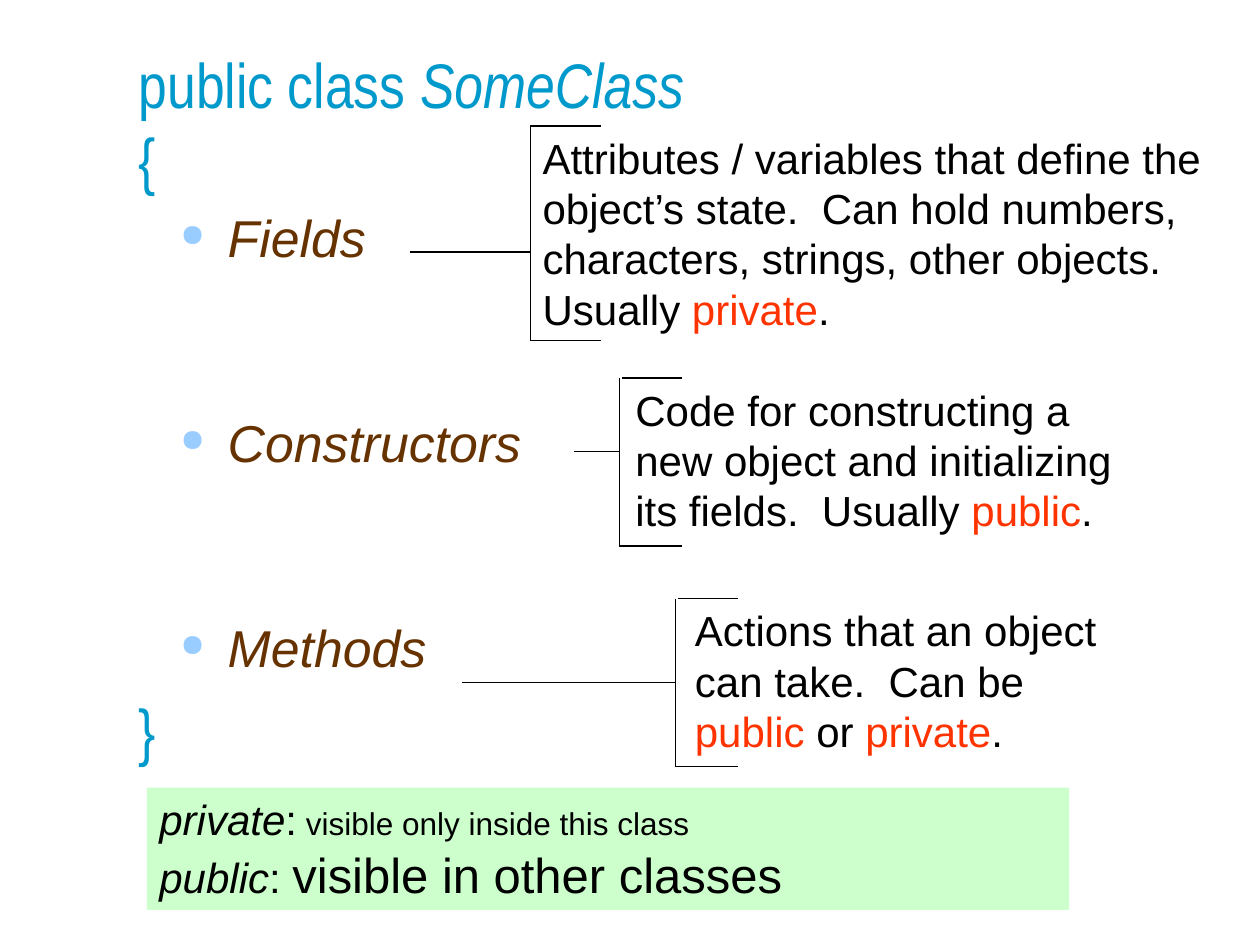
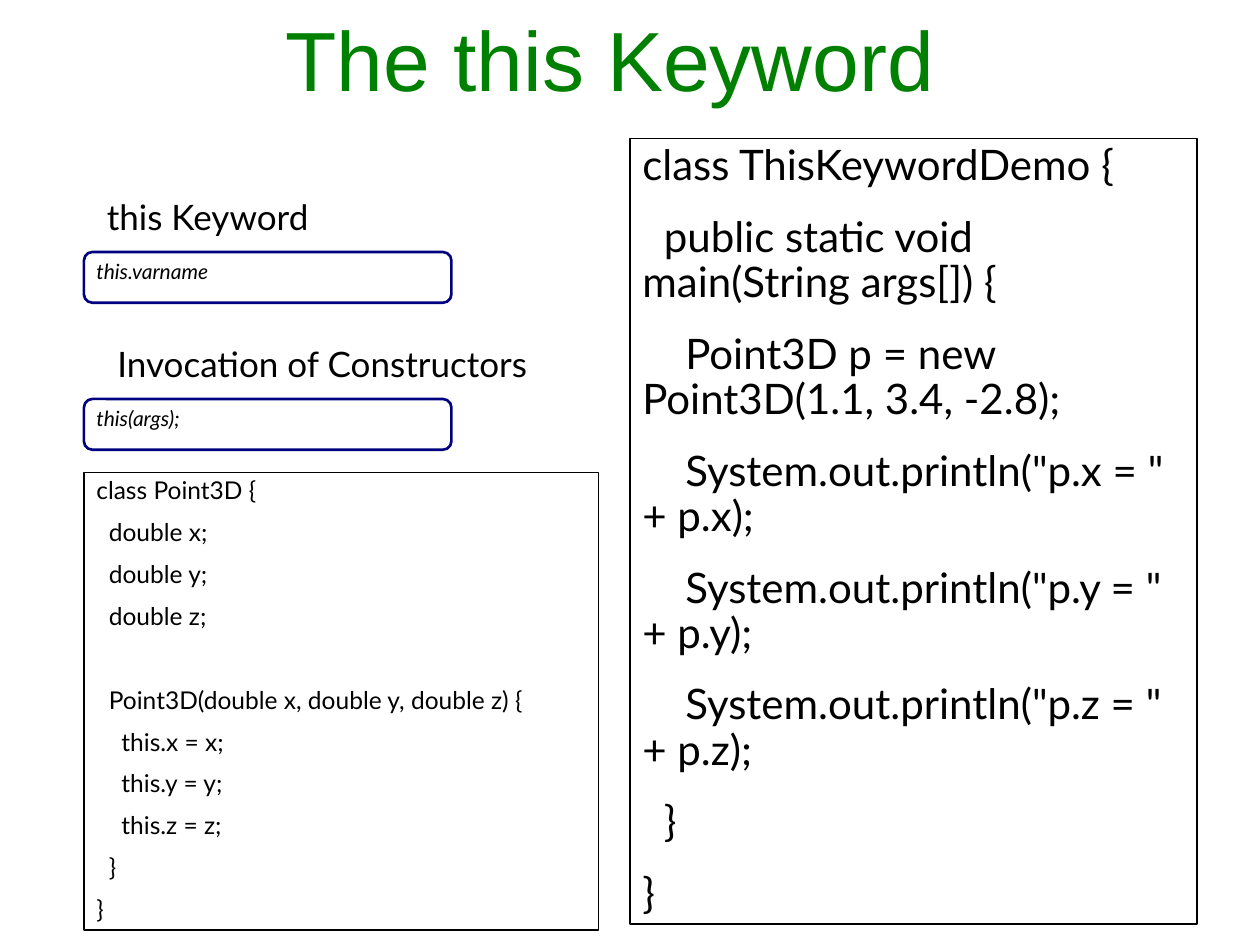
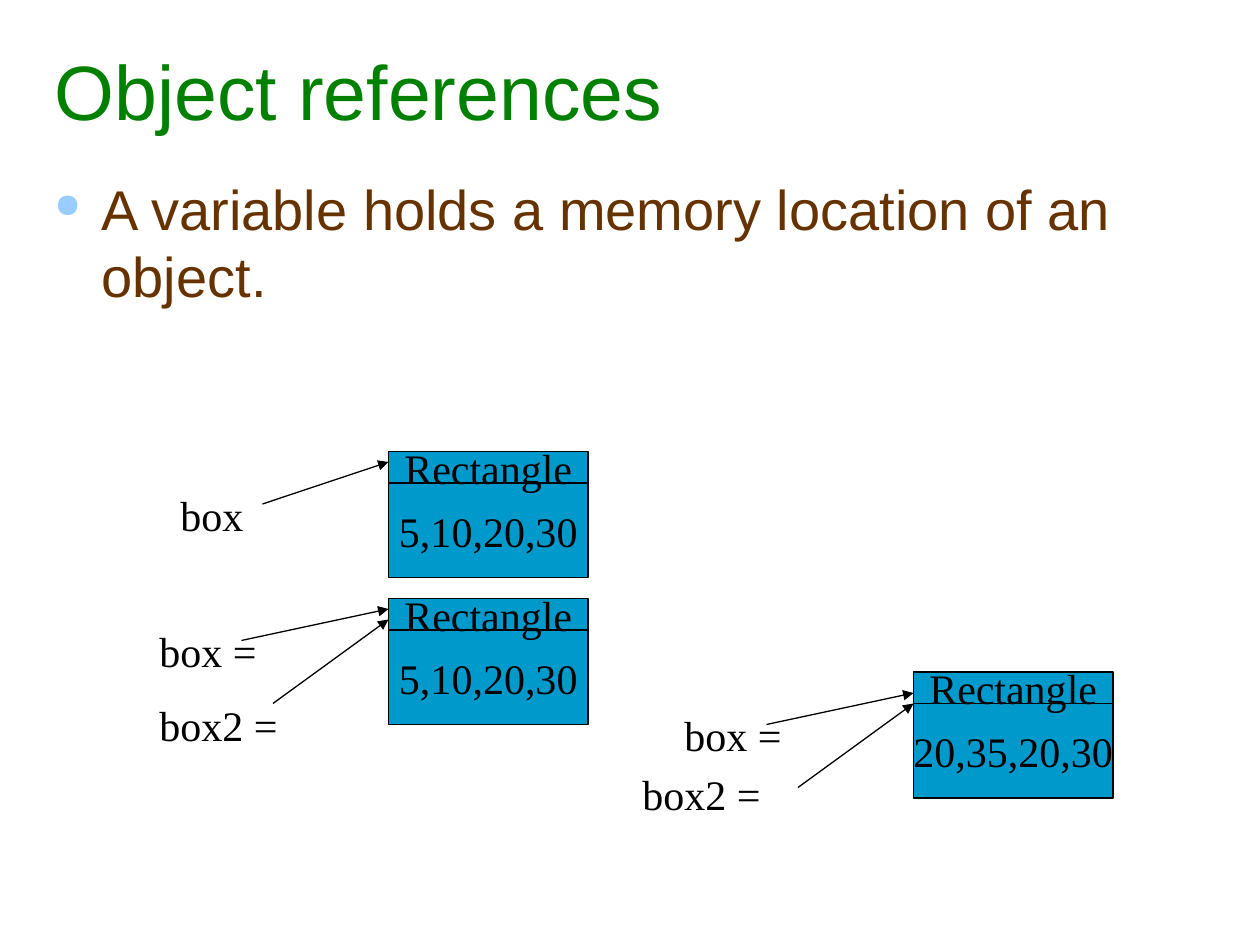
import pptx
import pptx.util
import pptx.dml.color
import pptx.enum.shapes
import pptx.enum.text
import pptx.oxml.ns
import lxml.etree

Pt = pptx.util.Pt
RGBColor = pptx.dml.color.RGBColor
Shape = pptx.enum.shapes.MSO_SHAPE
Align = pptx.enum.text.PP_ALIGN
Anchor = pptx.enum.text.MSO_ANCHOR
qn = pptx.oxml.ns.qn

BLACK = RGBColor(0x00, 0x00, 0x00)
CYAN = RGBColor(0x00, 0x99, 0xCC)
GREEN = RGBColor(0x00, 0x80, 0x00)
BROWN = RGBColor(0x66, 0x33, 0x00)
RED = RGBColor(0xFF, 0x33, 0x00)
MINT = RGBColor(0xCC, 0xFF, 0xCC)
NAVY = RGBColor(0x00, 0x00, 0x80)
SKY = RGBColor(0x99, 0xCC, 0xFF)

PLAIN = {"name": "Arial", "size": 24, "color": BLACK}
CLASS = {"name": "Arial Narrow", "size": 36, "color": CYAN}
HEAD = {"name": "Arial", "size": 44, "color": GREEN}
ITEM = {"name": "Arial", "size": 32, "color": BROWN}
CODE = {"name": "Lato", "size": 14, "color": BLACK}
SERIF = {"name": "Times New Roman", "size": 24, "color": BLACK}
HOT = {"color": RED}
SLANT = {"italic": True}

LEADING = 1.2
BREAK = "\v"

POINT = """class Point3D {
  double x;
  double y;
  double z;

  Point3D(double x, double y, double z) {
    this.x = x;
    this.y = y;
    this.z = z;
  }
}"""

DEMO = """class ThisKeywordDemo {
  public static void main(String args[]) {
    Point3D p = new Point3D(1.1, 3.4, -2.8);
    System.out.println("p.x = " + p.x);
    System.out.println("p.y = " + p.y);
    System.out.println("p.z = " + p.z);
  }
}"""


def place(box):
    return [Pt(n) for n in box]


def style(font, form):
    for key, val in form.items():
        if key == "color":
            font.color.rgb = val
        else:
            setattr(font, key, Pt(val) if key == "size" else val)


class Deck:
    def __init__(self):
        self.prs = pptx.Presentation()
        self.prs.slide_width, self.prs.slide_height = Pt(720), Pt(540)
        self.slide = None

    def start(self, box, runs, form):
        self.slide = self.prs.slides.add_slide(self.prs.slide_layouts[5])
        title = self.slide.shapes.title
        title.left, title.top, title.width, title.height = place(box)
        self.fill(title, [runs], form, anchor=Anchor.MIDDLE)

    def fill(self, shape, paras, form, anchor=Anchor.TOP, align=Align.LEFT, wrap=True):
        frame = shape.text_frame
        frame.auto_size = pptx.enum.text.MSO_AUTO_SIZE.NONE
        frame.word_wrap = wrap
        frame.vertical_anchor = anchor
        for i, runs in enumerate(paras):
            para = frame.paragraphs[0] if i == 0 else frame.add_paragraph()
            para.alignment = align
            para.space_before = Pt(0)
            runs = [(runs, {})] if isinstance(runs, str) else runs
            size = max(more.get("size", form["size"]) for _, more in runs)
            para.line_spacing = Pt(round(size * LEADING, 2))
            for words, more in runs:
                if words == BREAK:
                    para.add_line_break()
                    continue
                run = para.add_run()
                run.text = words
                style(run.font, {**form, **more})
        return frame

    def text(self, box, paras, form, **opts):
        return self.fill(self.slide.shapes.add_textbox(*place(box)), paras, form, **opts)

    def shape(self, box, kind=Shape.RECTANGLE, fill=None, line=None, width=0.75):
        shape = self.slide.shapes.add_shape(kind, *place(box))
        shape.shadow.inherit = False
        if fill is None:
            shape.fill.background()
        else:
            shape.fill.solid()
            shape.fill.fore_color.rgb = fill
        if line is None:
            shape.line.fill.background()
        else:
            shape.line.color.rgb = line
            shape.line.width = Pt(width)
        return shape

    def line(self, x1, y1, x2, y2, arrow=False):
        link = self.slide.shapes.add_connector(
            pptx.enum.shapes.MSO_CONNECTOR.STRAIGHT, *place((x1, y1, x2, y2)))
        link.line.color.rgb = BLACK
        link.line.width = Pt(0.75)
        if arrow:
            lxml.etree.SubElement(link.line._get_or_add_ln(), qn("a:tailEnd"), type="triangle")
        lxml.etree.SubElement(link._element.spPr, qn("a:effectLst"))

    def list(self, box, items, form, lead=LEADING):
        frame = self.text(box, items, form)
        for i, para in enumerate(frame.paragraphs):
            props = para._p.get_or_add_pPr()
            props.set("marL", str(Pt(27)))
            props.set("indent", str(Pt(-27)))
            tint = lxml.etree.SubElement(props, qn("a:buClr"))
            lxml.etree.SubElement(tint, qn("a:srgbClr"), val=str(SKY))
            lxml.etree.SubElement(props, qn("a:buSzPct"), val="60000")
            lxml.etree.SubElement(props, qn("a:buChar"), char="●")
            if i:
                para.line_spacing = Pt(round(form["size"] * lead, 2))

    def code(self, box, source, size, gap):
        lines = source.split("\n")
        shape = self.shape(box, line=BLACK)
        frame = self.fill(shape, [row for row in lines if row], {**CODE, "size": size})
        paras = iter(frame.paragraphs)
        space = 0
        for row in lines:
            if row:
                para = next(paras)
                para.line_spacing = 0.9
                para.space_before = Pt(round(space, 2))
                space = gap
            else:
                space += gap + size * LEADING * 0.9

    def brace(self, x, top, low, right, start, y, gap=0):
        self.line(start, y, x, y)
        self.line(x, top, x, low)
        self.line(x + gap, top, right, top)
        self.line(x, low, right, low)

    def syntax(self, top, left, head, words):
        self.shape((48, top, 210, 29), Shape.ROUNDED_RECTANGLE, line=NAVY, width=1.5)
        self.text((48, top, 240, 22), [words], {**CODE, **SLANT, "size": 12})
        self.text((left, top - 36, 258, 32), [head], {**CODE, "size": 20})

    def object(self, x, y, data):
        for top, high, words in ((y + 18, 54, data), (y, 18, "Rectangle")):
            part = self.shape((x, top, 114, high), fill=CYAN, line=BLACK)
            self.fill(part, [words], SERIF, Anchor.MIDDLE, Align.CENTER, False)

    def label(self, x, y, words):
        self.text((x, y, 90, 36), [words], SERIF)


def build_class(deck):
    deck.start((72, 24, 612, 90),
               [("public class ", {}), ("SomeClass", SLANT), (BREAK, {}), ("{", {})], CLASS)
    deck.list((96, 114, 248, 264), ["Fields", "Constructors", "Methods"],
              {**ITEM, **SLANT, "size": 29.6}, lead=3.3 * LEADING)
    deck.text((72, 372, 192, 90), ["}"], CLASS, anchor=Anchor.MIDDLE)
    deck.fill(deck.shape((84, 450, 527, 70), fill=MINT), [
        [("private", SLANT), (":", {}), (" visible only inside this class", {"size": 18})],
        [("public", SLANT), (": ", {}), ("visible in other classes", {"size": 28})],
    ], PLAIN)
    notes = (
        ((303, 72, 393, 122), [
            ("Attributes / variables that define the object’s state.  Can hold numbers, "
             "characters, strings, other objects.  Usually ", {}),
            ("private", HOT), (".", {})]),
        ((356, 216, 305, 94), [
            ("Code for constructing a new object and initializing its fields.  Usually ", {}),
            ("public", HOT), (".", {})]),
        ((390, 342, 270, 94), [
            ("Actions that an object can take.  Can be ", {}),
            ("public", HOT), (" or ", {}), ("private", HOT), (".", {})]),
    )
    for box, runs in notes:
        deck.text(box, [runs], PLAIN)
    deck.brace(303, 72, 194.4, 343.5, 234, 144)
    deck.brace(354, 216, 312, 390, 328, 258, gap=1.5)
    deck.brace(386, 342, 438, 422, 264, 390, gap=1.5)


def build_this(deck):
    deck.start((156, 12, 408, 42), "The this Keyword", {**HEAD, "size": 48})
    deck.code((48, 270, 294, 261.5), POINT, 14, 8.8)
    deck.code((360, 79, 324, 449), DEMO, 24, 15)
    deck.syntax(144, 54, "this Keyword", "this.varname")
    deck.syntax(228, 60, "Invocation of Constructors", "this(args);")


def build_refs(deck):
    deck.start((24, 6, 612, 90), "Object references", HEAD)
    deck.list((24, 96, 648, 132), ["A variable holds a memory location of an object."], ITEM)
    for x, y, data in ((222, 258, "5,10,20,30"), (222, 342, "5,10,20,30"),
                       (522, 384, "20,35,20,30")):
        deck.object(x, y, data)
    for x, y, words in ((96, 276, "box"), (84, 354, "box ="), (84, 396, "box2 ="),
                        (384, 402, "box ="), (360, 435.5, "box2 =")):
        deck.label(x, y, words)
    for ends in ((150, 288, 222, 264), (138, 366, 222, 348), (156, 402, 222, 354),
                 (438, 414, 522, 396), (456, 450, 522, 402)):
        deck.line(*ends, arrow=True)


def main():
    deck = Deck()
    for build in (build_class, build_this, build_refs):
        build(deck)
    deck.prs.save("out.pptx")


if __name__ == "__main__":
    main()
